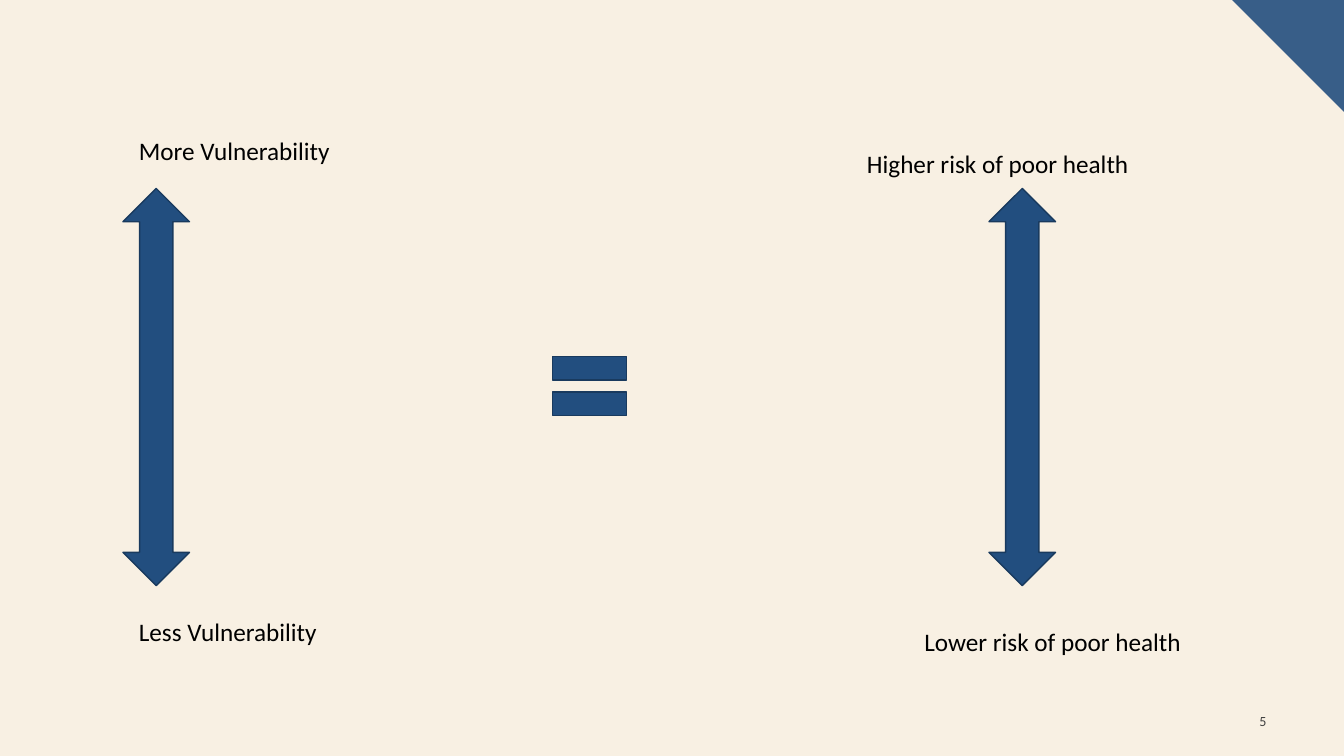
"""Build a slide that equates levels of vulnerability with levels of health risk."""
from dataclasses import dataclass

import pptx
import pptx.dml.color
import pptx.enum.shapes
import pptx.enum.text
import pptx.shapes.autoshape
import pptx.slide
import pptx.util

SHAPES = pptx.enum.shapes.MSO_SHAPE
ALIGN = pptx.enum.text.PP_ALIGN
ANCHOR = pptx.enum.text.MSO_ANCHOR
AUTO_SIZE = pptx.enum.text.MSO_AUTO_SIZE
Color = pptx.dml.color.RGBColor

WIDTH = pptx.util.Inches(13.33)
HEIGHT = pptx.util.Inches(7.5)


@dataclass(frozen=True)
class Theme:
    background: Color = Color(0xF8, 0xF0, 0xE3)
    corner: Color = Color(0x38, 0x5E, 0x88)
    fill: Color = Color(0x22, 0x4E, 0x7F)
    outline: Color = Color(0x19, 0x3A, 0x5E)
    text: Color = Color(0, 0, 0)
    number: Color = Color(0x40, 0x40, 0x40)
    font: str = "Calibri"
    label_size: int = 18
    number_size: int = 10
    outline_width: int = 1


THEME = Theme()


@dataclass(frozen=True)
class Area:
    left: float
    top: float
    width: float
    height: float

    def lengths(self) -> tuple[int, int, int, int]:
        return (across(self.left), down(self.top), across(self.width), down(self.height))


@dataclass(frozen=True)
class Label:
    text: str
    left: float
    top: float
    width: float


@dataclass(frozen=True)
class Symbol:
    kind: SHAPES
    area: Area


LABEL_HEIGHT = 5.33
ARROW_TOP, ARROW_WIDTH, ARROW_HEIGHT = 24.93, 4.95, 52.53
CORNER_SIDE = pptx.util.Inches(1.11)

LABELS = (
    Label("More Vulnerability", 9.6, 17.2, 23.33),
    Label("Less Vulnerability", 9.6, 80.93, 18),
    Label("Higher risk of poor health", 63.77, 18.93, 24.53),
    Label("Lower risk of poor health", 68.04, 82.13, 22.96),
)
ARROWS = tuple(
    Symbol(SHAPES.UP_DOWN_ARROW, Area(left, ARROW_TOP, ARROW_WIDTH, ARROW_HEIGHT))
    for left in (9.15, 73.59)
)
SYMBOLS = (Symbol(SHAPES.MATH_EQUAL, Area(40.13, 44.4, 7.5, 13.33)), *ARROWS)
NUMBER_AREA = Area(91.22, 92.67, 3.75, LABEL_HEIGHT)


def across(percent: float) -> int:
    return round(WIDTH * percent / 100)


def down(percent: float) -> int:
    return round(HEIGHT * percent / 100)


def add_text(
    page: pptx.slide.Slide,
    text: str,
    area: Area,
    *,
    size: int = THEME.label_size,
    color: Color = THEME.text,
    align: ALIGN = ALIGN.LEFT,
    anchor: ANCHOR = ANCHOR.TOP,
    auto_size: AUTO_SIZE = AUTO_SIZE.SHAPE_TO_FIT_TEXT,
) -> None:
    frame = page.shapes.add_textbox(*area.lengths()).text_frame
    frame.word_wrap = True
    frame.auto_size = auto_size
    frame.vertical_anchor = anchor
    para = frame.paragraphs[0]
    para.alignment = align
    span = para.add_run()
    span.text = text
    span.font.name = THEME.font
    span.font.size = pptx.util.Pt(size)
    span.font.color.rgb = color


def paint(shape: pptx.shapes.autoshape.Shape, fill: Color) -> None:
    shape.shadow.inherit = False
    shape.fill.solid()
    shape.fill.fore_color.rgb = fill


def add_corner(page: pptx.slide.Slide) -> None:
    builder = page.shapes.build_freeform(WIDTH, CORNER_SIDE)
    builder.add_line_segments([(WIDTH - CORNER_SIDE, 0), (WIDTH, 0)], close=True)
    corner = builder.convert_to_shape()
    paint(corner, THEME.corner)
    corner.line.fill.background()


def add_symbol(page: pptx.slide.Slide, symbol: Symbol) -> None:
    shape = page.shapes.add_shape(symbol.kind, *symbol.area.lengths())
    paint(shape, THEME.fill)
    shape.line.color.rgb = THEME.outline
    shape.line.width = pptx.util.Pt(THEME.outline_width)


def main() -> None:
    deck = pptx.Presentation()
    deck.slide_width, deck.slide_height = WIDTH, HEIGHT
    page = deck.slides.add_slide(deck.slide_layouts.get_by_name("Blank"))
    page.background.fill.solid()
    page.background.fill.fore_color.rgb = THEME.background

    add_corner(page)
    add_text(
        page,
        "5",
        NUMBER_AREA,
        size=THEME.number_size,
        color=THEME.number,
        align=ALIGN.RIGHT,
        anchor=ANCHOR.MIDDLE,
        auto_size=AUTO_SIZE.NONE,
    )
    for symbol in SYMBOLS:
        add_symbol(page, symbol)
    for label in LABELS:
        add_text(page, label.text, Area(label.left, label.top, label.width, LABEL_HEIGHT))
    deck.save("out.pptx")


if __name__ == "__main__":
    main()
